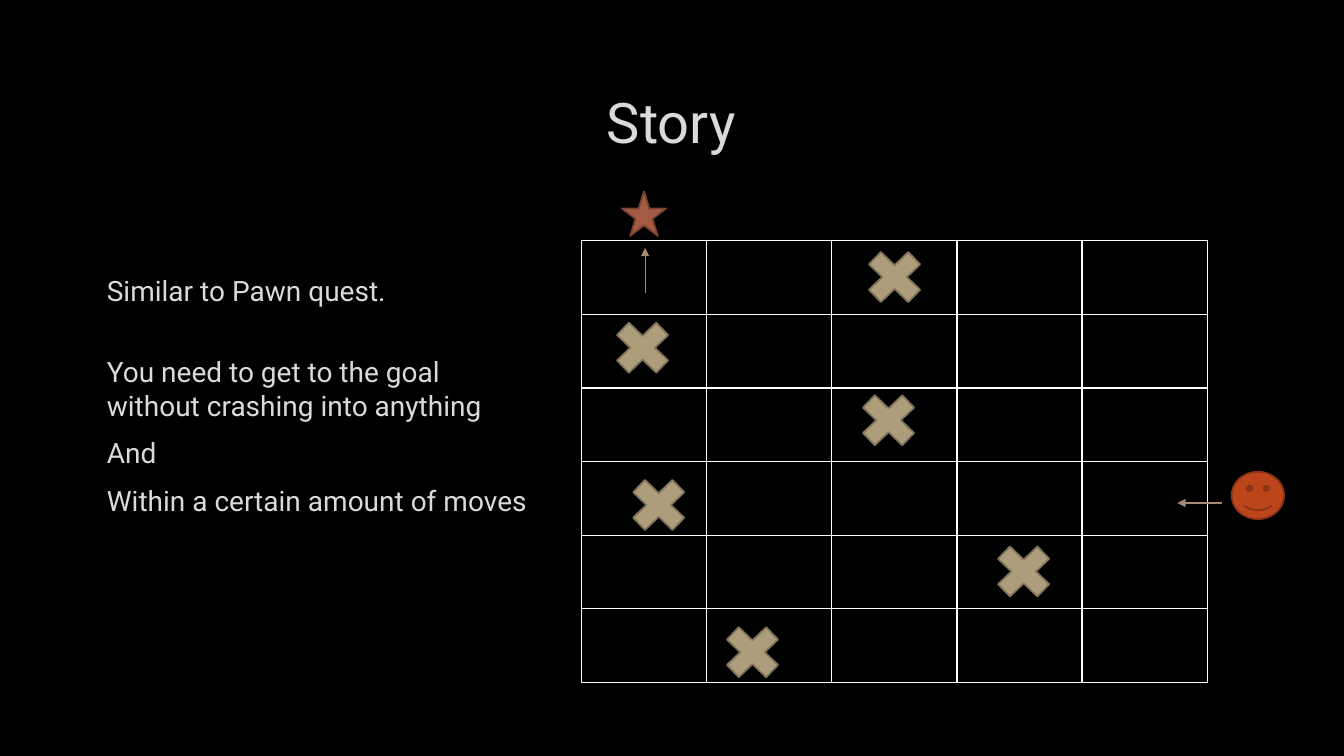
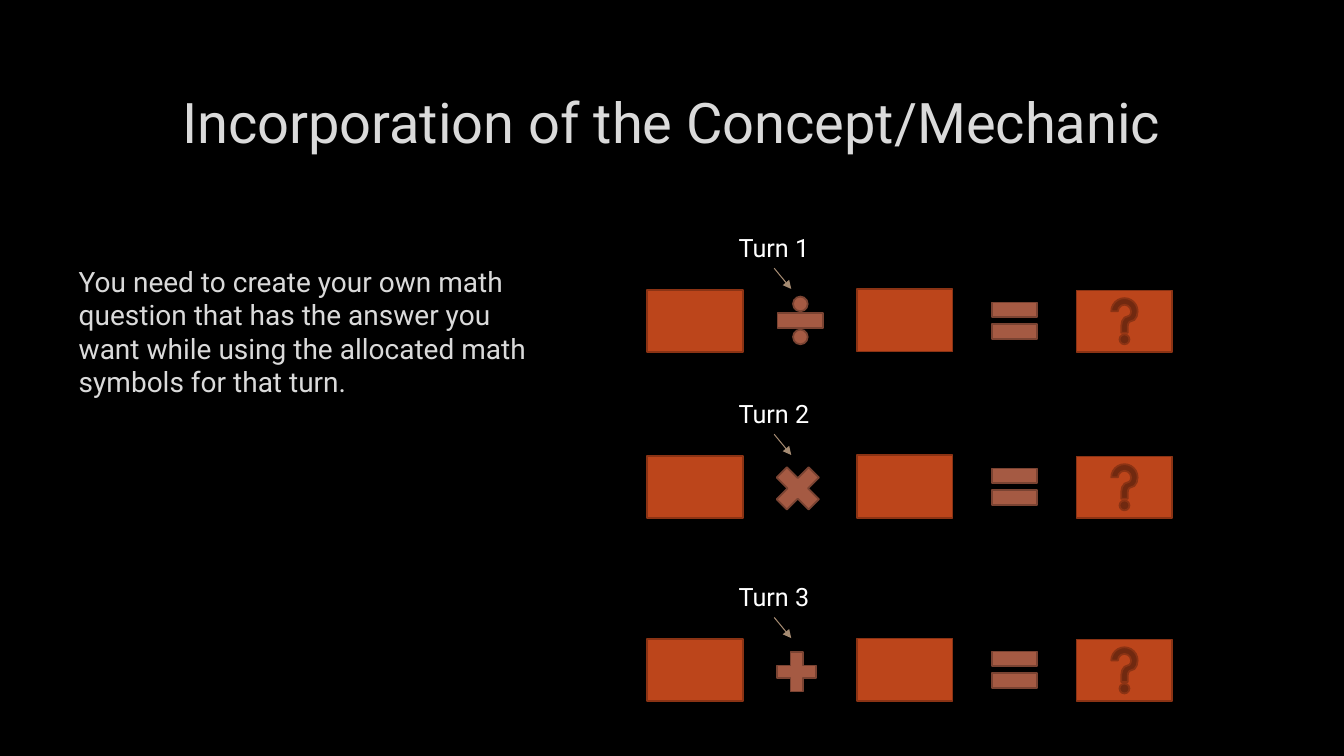
from lxml import etree
from pptx import Presentation
from pptx import util as u
from pptx.dml.color import RGBColor
from pptx.enum import shapes, text
from pptx.oxml import ns

Pt = u.Pt
Kind = shapes.MSO_SHAPE

BLACK = RGBColor(0x00, 0x00, 0x00)
WHITE = RGBColor(0xFF, 0xFF, 0xFF)
LIGHT_GREY = RGBColor(0xDA, 0xDA, 0xDA)
ORANGE = RGBColor(0xBC, 0x45, 0x1B)
ORANGE_EDGE = RGBColor(0x8B, 0x33, 0x14)
RUST = RGBColor(0xA5, 0x5A, 0x43)
RUST_EDGE = RGBColor(0x7A, 0x43, 0x32)
SAND = RGBColor(0xAD, 0x9D, 0x7B)
SAND_EDGE = RGBColor(0x80, 0x74, 0x5B)
TAN = RGBColor(0xA5, 0x8B, 0x72)
FONT = "Roboto"


def add_figure(page, kind, left, top, width, height, fill, edge):
    """Add a filled, outlined preset shape without shadow."""
    figure = page.shapes.add_shape(kind, Pt(left), Pt(top), Pt(width), Pt(height))
    figure.shadow.inherit = False
    figure.fill.solid()
    figure.fill.fore_color.rgb = fill
    figure.line.color.rgb = edge
    figure.line.width = Pt(1.25)


def add_arrow(page, *ends):
    """Add a thin arrow; ends are start x, start y, end x, end y."""
    arrow = page.shapes.add_connector(
        shapes.MSO_CONNECTOR.STRAIGHT, *[Pt(end) for end in ends])
    arrow.line.color.rgb = TAN
    arrow.line.width = Pt(0.75)
    line = arrow.line._get_or_add_ln()
    etree.SubElement(line, ns.qn("a:tailEnd"), type="triangle")
    etree.SubElement(arrow._element.spPr, ns.qn("a:effectLst"))


deck = Presentation()
deck.slide_width, deck.slide_height = Pt(960), Pt(540)
background = deck.slide_master.background.fill
background.solid()
background.fore_color.rgb = BLACK
layout = deck.slide_layouts[1]

# Titles and body text
contents = [
    ("Story", (69.1, 191.5, 320.4, 287.3),
     ["Similar to Pawn quest.",
      "You need to get to the goal without crashing into anything",
      "And",
      "Within a certain amount of moves"]),
    ("Incorporation of the Concept/Mechanic", (49, 185, 353.5, 272.2),
     ["You need to create your own math question that has the answer you want "
      "while using the allocated math symbols for that turn."]),
]
pages = []
for heading, body_area, lines in contents:
    page = deck.slides.add_slide(layout)
    pages.append(page)
    title, body = page.placeholders
    for box, area, wording, size in (
            (title, (72, 48.2, 815, 76.3), heading, 40),
            (body, body_area, "\n".join(lines), 20)):
        box.left, box.top, box.width, box.height = [Pt(length) for length in area]
        frame = box.text_frame
        frame.text = wording
        frame.word_wrap = True
        frame.auto_size = text.MSO_AUTO_SIZE.NONE
        for para in frame.paragraphs:
            para.font.name = FONT
            para.font.size = Pt(size)
            para.font.color.rgb = LIGHT_GREY
    title.text_frame.vertical_anchor = text.MSO_ANCHOR.MIDDLE
    title.text_frame.paragraphs[0].alignment = text.PP_ALIGN.CENTER
    body.text_frame.vertical_anchor = text.MSO_ANCHOR.TOP
    for para in body.text_frame.paragraphs:
        para.space_before, para.space_after = Pt(4), Pt(6)
        properties = para._p.get_or_add_pPr()
        properties.set("marL", "0")
        properties.set("indent", "0")
        properties.insert_element_before(
            etree.Element(ns.qn("a:buNone")), "a:tabLst", "a:defRPr", "a:extLst")

story, mechanic = pages
story.placeholders[1].text_frame.paragraphs[1].space_before = Pt(28)

# Story: the board
ROWS, COLUMNS = 6, 5
board = story.shapes.add_table(
    ROWS, COLUMNS, Pt(415.4), Pt(172), Pt(447), Pt(315.6)).table
board.first_row = board.horz_banding = False
for cell in board.iter_cells():
    properties = cell._tc.get_or_add_tcPr()
    for side in ("a:lnL", "a:lnR", "a:lnT", "a:lnB"):
        border = etree.SubElement(properties, ns.qn(side), w=str(Pt(1)))
        paint = etree.SubElement(border, ns.qn("a:solidFill"))
        etree.SubElement(paint, ns.qn("a:srgbClr"), val=str(WHITE))
    cell.fill.background()

# Story: player, goal and obstacles
add_figure(story, Kind.SMILEY_FACE, 879.8, 337, 37.4, 33.8, ORANGE, ORANGE_EDGE)
add_figure(story, Kind.STAR_5_POINT, 444.2, 136.8, 31.7, 31.7, RUST, RUST_EDGE)
obstacles = [(510.5, 440), (443.5, 334.8), (704.2, 382.3),
             (607.7, 274.3), (612, 172), (432, 222.5)]
for left, top in obstacles:
    add_figure(story, Kind.MATH_MULTIPLY, left, top, 54, 51.8, SAND, SAND_EDGE)
add_arrow(story, 872.6, 359.3, 841, 359.3)
add_arrow(story, 460.8, 209.5, 460.8, 177.1)

# Mechanic: one equation per turn, as row top, operator, its left, offset and size
turns = [(207, Kind.MATH_DIVIDE, 549.4, -0.4, 44.6),
         (325.6, Kind.MATH_MULTIPLY, 547.9, 1.3, 44),
         (456.4, Kind.MATH_PLUS, 550, 4.4, 38.2)]
for number, (top, operator, left, offset, size) in enumerate(turns, 1):
    add_figure(mechanic, Kind.RECTANGLE, 462.2, top, 68.4, 44.6, ORANGE, ORANGE_EDGE)
    add_figure(mechanic, operator, left, top + offset, size, size, RUST, RUST_EDGE)
    add_figure(mechanic, Kind.RECTANGLE, 612, top - 0.4, 68.4, 44.6,
               ORANGE, ORANGE_EDGE)
    add_figure(mechanic, Kind.MATH_EQUAL, 702.7, top, 44, 44, RUST, RUST_EDGE)
    add_figure(mechanic, Kind.ACTION_BUTTON_HELP, 769, top + 0.5, 68.4, 44,
               ORANGE, ORANGE_EDGE)
    label = mechanic.shapes.add_textbox(Pt(512.6), Pt(top - 44.4), Pt(80.6), Pt(29))
    label.text_frame.word_wrap = True
    para = label.text_frame.paragraphs[0]
    para.text = f"Turn {number}"
    para.alignment = text.PP_ALIGN.CENTER
    para.font.name = FONT
    para.font.size = Pt(18)
    para.font.color.rgb = WHITE
    add_arrow(mechanic, 553, top - 15.4, 565.2, top - 0.6)

deck.save("out.pptx")
